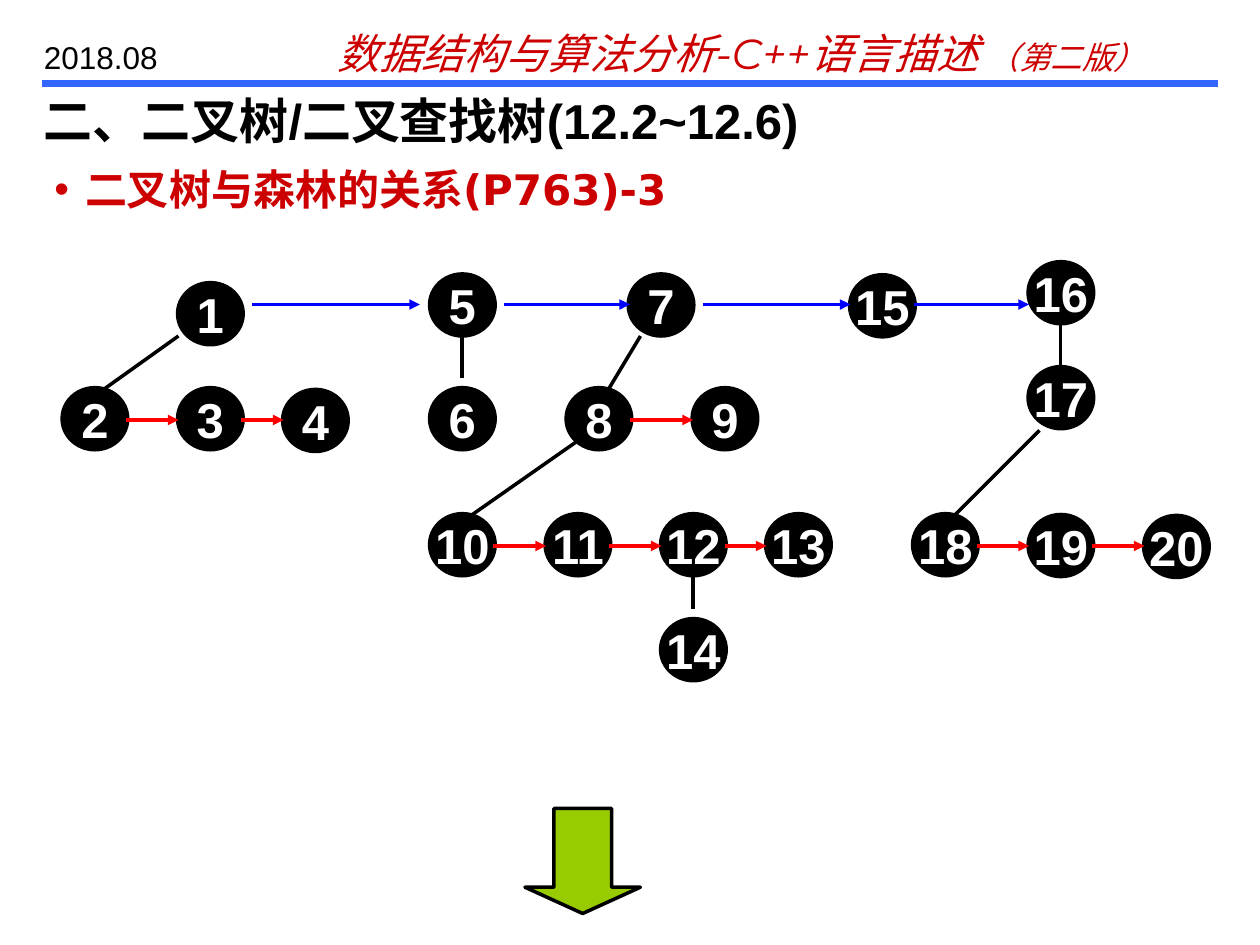
from lxml import etree
from pptx import Presentation
from pptx.dml.color import RGBColor
from pptx.enum.shapes import MSO_CONNECTOR, MSO_SHAPE
from pptx.enum.text import MSO_ANCHOR, PP_ALIGN
from pptx.oxml.ns import qn
from pptx.util import Pt

LINE = MSO_CONNECTOR.STRAIGHT
OVAL = MSO_SHAPE.OVAL
DOWN = MSO_SHAPE.DOWN_ARROW
MIDDLE = MSO_ANCHOR.MIDDLE
CENTER = PP_ALIGN.CENTER

BLACK = RGBColor(0, 0, 0)
WHITE = RGBColor(255, 255, 255)
CRIMSON = RGBColor(0xCC, 0, 0)
RED = RGBColor(255, 0, 0)
BLUE = RGBColor(0, 0, 255)
RULE = RGBColor(0x33, 0x66, 0xFF)
GREEN = RGBColor(0x99, 0xCC, 0)

# Box (left, top, width, height), space before, runs (text, size, font, colour, bold, italic)
HEADER = ((186, 12, 504, 36), 0, [
    ("数据结构与算法分析-C++语言描述 ", 24, "Montserrat", CRIMSON, False, True),
    ("（第二版）", 18, "Montserrat", CRIMSON, False, True)])
DATE = ((18, 18, 102, 28.8), 11.2, [("2018.08", 18, "Arial", BLACK, False, False)])
TOPIC = ((24, 90, 696, 36), 0, [
    ("二叉树与森林的关系(P763)-3", 24, "DejaVu Sans", CRIMSON, True, False)])
TITLE = ((18, 48, 702, 36), 0, [
    ("二、二叉树/二叉查找树(12.2~12.6)", 28, "Arial", BLACK, True, False)])

# Node number: left, top
NODES = {
    1: (102, 162), 5: (246, 157), 7: (359.5, 157), 15: (486, 157.5), 16: (588, 150),
    2: (36, 222), 3: (102, 222), 4: (162, 223), 6: (246, 222), 8: (324, 222),
    9: (396, 222), 17: (588, 210),
    10: (246, 294), 11: (312, 294), 12: (378, 294), 13: (438, 294), 14: (378, 354),
    18: (522, 294), 19: (588, 294.5), 20: (654, 295),
}
NODE_W, NODE_H = 36.5, 34.5

# Parent to first child: x1, y1, x2, y2
BRANCHES = [
    (102, 192, 60, 222), (264, 192, 264, 216), (366, 192, 348, 222),
    (330, 252, 270, 294), (396, 330, 396, 348), (606, 186, 606, 210),
    (594, 246, 546, 294),
]
# Sibling arrows by row: colour, y, (x1, x2) spans
ROWS = [
    (RED, 240, [(72, 102), (138, 162), (360, 396)]),
    (RED, 312, [(282, 312), (348, 378), (414, 438), (558, 588), (624, 654)]),
    (BLUE, 174, [(144, 240), (288, 360), (402, 486), (522, 588)]),
]


def points(*nums):
    return [Pt(n) for n in nums]


def write(par, runs):
    for text, size, face, color, bold, italic in runs:
        run = par.add_run()
        run.text = text
        font = run.font
        font.size, font.name = Pt(size), face
        font.bold, font.italic = bold, italic
        font.color.rgb = color


def add_text(slide, box, before, runs):
    frame = slide.shapes.add_textbox(*points(*box)).text_frame
    frame.word_wrap = True
    par = frame.paragraphs[0]
    par.space_before = Pt(before)
    write(par, runs)
    return par


def add_bullet(par, color, indent):
    props = par._p.get_or_add_pPr()
    props.set("marL", str(Pt(indent)))
    props.set("indent", str(-Pt(indent)))
    paint = etree.SubElement(props, qn("a:buClr"))
    etree.SubElement(paint, qn("a:srgbClr"), val=str(color))
    etree.SubElement(props, qn("a:buFont"), typeface="Arial")
    etree.SubElement(props, qn("a:buChar"), char="•")


def add_line(slide, ends, color, width=2, arrow=False):
    link = slide.shapes.add_connector(LINE, *points(*ends))
    link.line.color.rgb = color
    link.line.width = Pt(width)
    if arrow:
        etree.SubElement(link.line._get_or_add_ln(), qn("a:tailEnd"), type="triangle")
    etree.SubElement(link._element.spPr, qn("a:effectLst"))


def add_shape(slide, kind, box, fill, width):
    shape = slide.shapes.add_shape(kind, *points(*box))
    shape.shadow.inherit = False
    shape.fill.solid()
    shape.fill.fore_color.rgb = fill
    shape.line.color.rgb = BLACK
    shape.line.width = Pt(width)
    return shape


def add_node(slide, num, left, top):
    node = add_shape(slide, OVAL, (left, top, NODE_W, NODE_H), BLACK, 3)
    frame = node.text_frame
    frame.word_wrap = False
    frame.vertical_anchor = MIDDLE
    par = frame.paragraphs[0]
    par.alignment = CENTER
    par.space_before = Pt(7)
    write(par, [(str(num), 28, "Arial", WHITE, True, False)])


def main():
    deck = Presentation()
    deck.slide_width, deck.slide_height = points(720, 540)
    slide = deck.slides.add_slide(deck.slide_layouts[6])

    add_line(slide, (24, 48, 696, 48), RULE, 4)
    add_text(slide, *HEADER)
    add_text(slide, *DATE)
    add_bullet(add_text(slide, *TOPIC), CRIMSON, 17.5)
    add_text(slide, *TITLE)

    for num, (left, top) in NODES.items():
        add_node(slide, num, left, top)
    for ends in BRANCHES:
        add_line(slide, ends, BLACK)
    for color, y, spans in ROWS:
        for start, end in spans:
            add_line(slide, (start, y, end, y), color, arrow=True)

    arrow = add_shape(slide, DOWN, (300, 462, 66, 60), GREEN, 2)
    arrow.adjustments[0], arrow.adjustments[1] = 0.5, 0.25
    deck.save("out.pptx")


if __name__ == "__main__":
    main()
